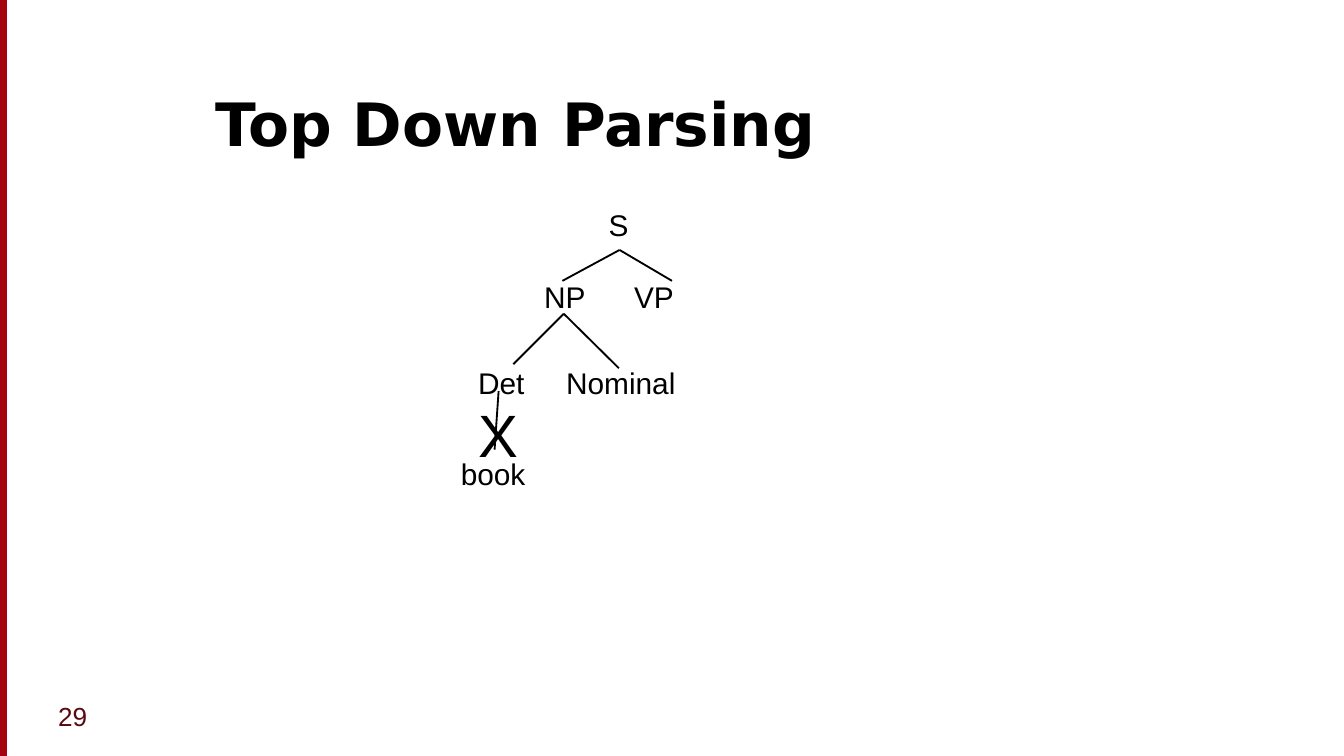
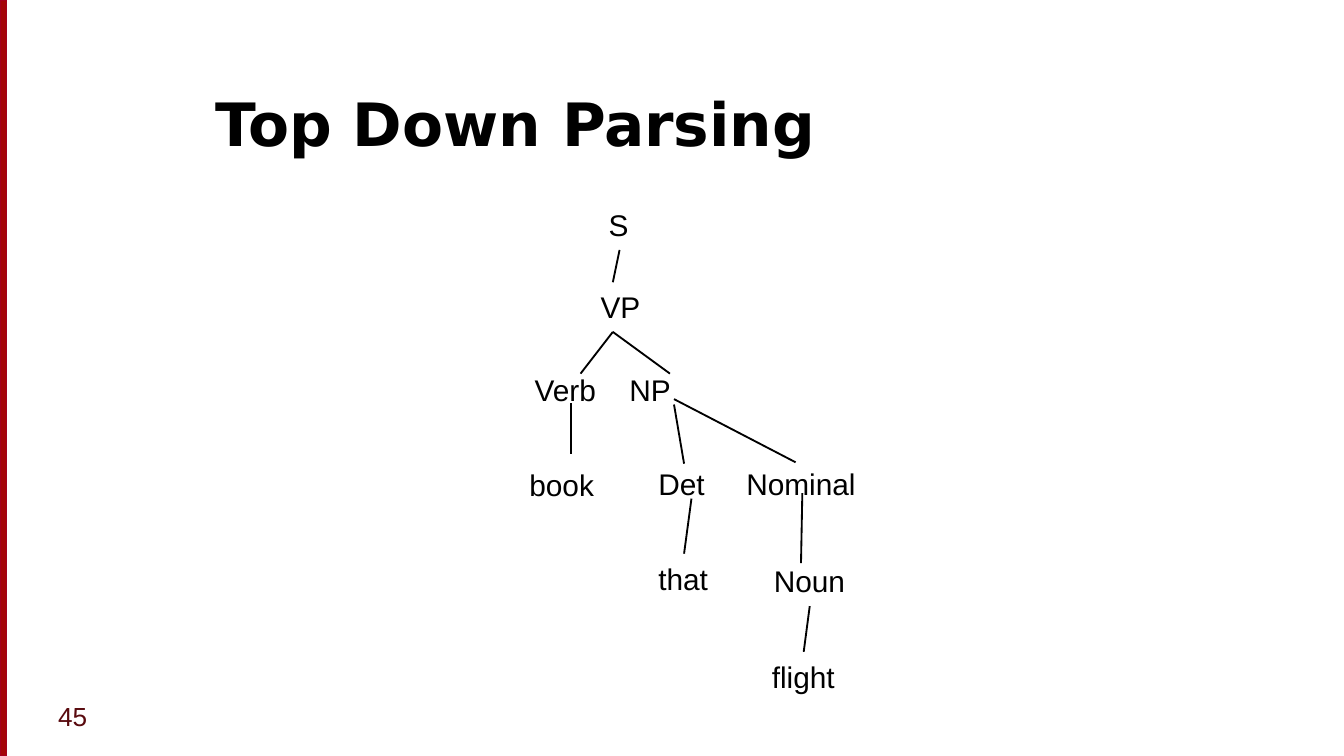
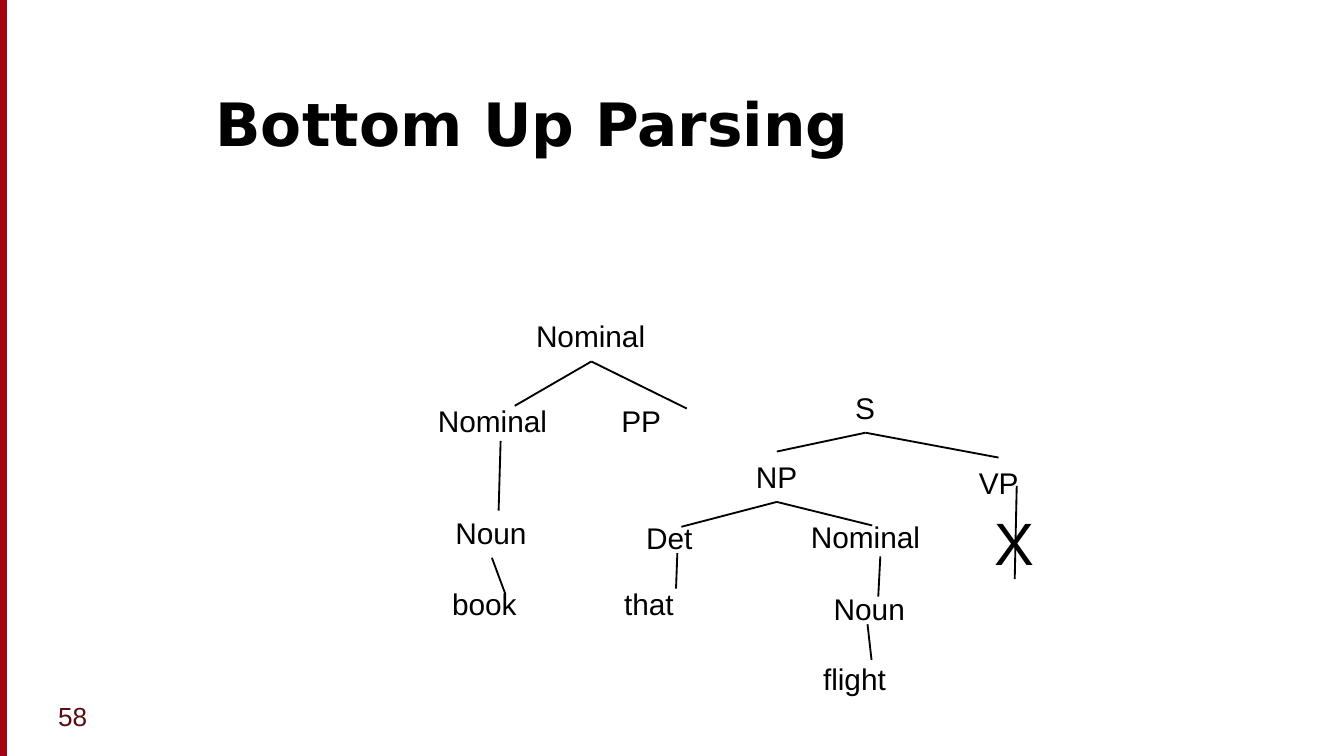
from dataclasses import dataclass

import lxml.etree
import pptx
import pptx.dml.color
import pptx.enum.shapes
import pptx.enum.text
import pptx.oxml.ns
import pptx.presentation
import pptx.slide
import pptx.util

EMU_PER_PX = 4572
SLIDE_WIDTH, SLIDE_HEIGHT = 2000, 1125
BAND_WIDTH = 10
LABEL_HEIGHT, CROSS_WIDTH, CROSS_HEIGHT = 74, 100, 128

BLACK = pptx.dml.color.RGBColor(0x00, 0x00, 0x00)
BAND_RED = pptx.dml.color.RGBColor(0xA4, 0x05, 0x08)
BAND_EDGE = pptx.dml.color.RGBColor(0xA4, 0x00, 0x1D)
NUMBER_RED = pptx.dml.color.RGBColor(0x59, 0x0A, 0x0E)

ANCHOR = pptx.enum.text.MSO_ANCHOR
Point = tuple[int, int]

WORD_WIDTHS = {
    "S": 70, "NP": 102, "VP": 100, "PP": 100, "Det": 110, "Nominal": 206,
    "Noun": 148, "Verb": 132, "book": 142, "that": 116, "flight": 136,
}


@dataclass(frozen=True)
class TextStyle:
    font: str
    size: int
    color: pptx.dml.color.RGBColor = BLACK
    bold: bool = False
    anchor: ANCHOR = ANCHOR.TOP
    wrap: bool = True


TITLE = TextStyle("DejaVu Sans", 32, bold=True, anchor=ANCHOR.BOTTOM)
NUMBER = TextStyle("Arial", 14, NUMBER_RED, anchor=ANCHOR.MIDDLE)
WORD = TextStyle("Arial", 16, wrap=False)
CROSS = TextStyle("Arial", 32, wrap=False)


@dataclass(frozen=True)
class Node:
    word: str
    left: int
    top: int


@dataclass(frozen=True)
class Branch:
    start: Point
    ends: tuple[Point, ...]


@dataclass(frozen=True)
class ParseSlide:
    title: str
    number: int
    nodes: tuple[Node, ...]
    branches: tuple[Branch, ...]
    crosses: tuple[Point, ...] = ()


SLIDES = (
    ParseSlide(
        "Top Down Parsing", 29,
        nodes=(
            Node("S", 886, 298),
            Node("NP", 790, 405), Node("VP", 924, 405),
            Node("Det", 692, 533), Node("Nominal", 823, 533),
            Node("book", 666, 669),
        ),
        branches=(
            Branch((922, 372), ((837, 418), (1000, 418))),
            Branch((839, 467), ((764, 542), (921, 548))),
            Branch((742, 582), ((736, 669),)),
        ),
        crosses=((692, 582),),
    ),
    ParseSlide(
        "Top Down Parsing", 45,
        nodes=(
            Node("S", 886, 298),
            Node("VP", 874, 420),
            Node("Verb", 776, 543), Node("NP", 917, 543),
            Node("book", 768, 685), Node("Det", 960, 683), Node("Nominal", 1091, 683),
            Node("that", 960, 825), Node("Noun", 1132, 828),
            Node("flight", 1129, 970),
        ),
        branches=(
            Branch((922, 372), ((912, 420),)),
            Branch((912, 494), ((864, 556), (997, 556))),
            Branch((850, 600), ((850, 676),)),
            Branch((1003, 602), ((1018, 690),)),
            Branch((1003, 594), ((1184, 688),)),
            Branch((1029, 742), ((1018, 824),)),
            Branch((1194, 734), ((1192, 838),)),
            Branch((1205, 902), ((1196, 970),)),
        ),
    ),
    ParseSlide(
        "Bottom Up Parsing", 58,
        nodes=(
            Node("Nominal", 778, 463),
            Node("Nominal", 632, 590), Node("PP", 905, 590),
            Node("Noun", 658, 756),
            Node("book", 653, 862), Node("that", 909, 862),
            Node("S", 1253, 570),
            Node("NP", 1105, 673), Node("VP", 1437, 681),
            Node("Det", 942, 764), Node("Nominal", 1187, 762),
            Node("Noun", 1221, 869),
            Node("flight", 1205, 973),
        ),
        branches=(
            Branch((880, 538), ((766, 604), (1022, 608))),
            Branch((745, 656), ((742, 760),)),
            Branch((732, 830), ((752, 884),)),
            Branch((1288, 644), ((1156, 672), (1486, 681))),
            Branch((1156, 747), ((1014, 784), (1298, 782))),
            Branch((1008, 823), ((1006, 876),)),
            Branch((1310, 828), ((1307, 888),)),
            Branch((1291, 929), ((1297, 982),)),
            Branch((1513, 723), ((1510, 862),)),
        ),
        crosses=((1460, 743),),
    ),
)


def px(length: int) -> pptx.util.Emu:
    return pptx.util.Emu(length * EMU_PER_PX)


def add_text(slide: pptx.slide.Slide, text: str, left: int, top: int,
             width: int, height: int, style: TextStyle) -> None:
    shape = slide.shapes.add_textbox(px(left), px(top), px(width), px(height))
    frame = shape.text_frame
    frame.word_wrap = style.wrap
    frame.vertical_anchor = style.anchor
    if not style.wrap:
        frame.auto_size = pptx.enum.text.MSO_AUTO_SIZE.SHAPE_TO_FIT_TEXT
    run = frame.paragraphs[0].add_run()
    run.text = text
    run.font.name = style.font
    run.font.size = pptx.util.Pt(style.size)
    run.font.bold = style.bold
    run.font.color.rgb = style.color


def add_band(slide: pptx.slide.Slide) -> None:
    band = slide.shapes.add_shape(
        pptx.enum.shapes.MSO_SHAPE.RECTANGLE,
        px(0), px(0), px(BAND_WIDTH), px(SLIDE_HEIGHT))
    band.shadow.inherit = False
    band.fill.solid()
    band.fill.fore_color.rgb = BAND_RED
    band.line.color.rgb = BAND_EDGE
    band.line.width = pptx.util.Pt(0.75)


def add_branch(slide: pptx.slide.Slide, branch: Branch) -> None:
    for end in branch.ends:
        connector = slide.shapes.add_connector(
            pptx.enum.shapes.MSO_CONNECTOR.STRAIGHT,
            *(px(length) for length in branch.start + end))
        connector.line.color.rgb = BLACK
        connector.line.width = pptx.util.Pt(1)
        lxml.etree.SubElement(
            connector._element.spPr, pptx.oxml.ns.qn("a:effectLst"))


def add_parse_slide(presentation: pptx.presentation.Presentation,
                    content: ParseSlide) -> None:
    slide = presentation.slides.add_slide(presentation.slide_layouts[6])
    add_band(slide)
    add_text(slide, content.title, 301, 84, 1634, 162, TITLE)
    for node in content.nodes:
        add_text(slide, node.word, node.left, node.top,
                 WORD_WIDTHS[node.word], LABEL_HEIGHT, WORD)
    for branch in content.branches:
        add_branch(slide, branch)
    for left, top in content.crosses:
        add_text(slide, "X", left, top, CROSS_WIDTH, CROSS_HEIGHT, CROSS)
    add_text(slide, str(content.number), 67, 1027, 434, 76, NUMBER)


def main() -> None:
    presentation = pptx.Presentation()
    presentation.slide_width = px(SLIDE_WIDTH)
    presentation.slide_height = px(SLIDE_HEIGHT)
    for content in SLIDES:
        add_parse_slide(presentation, content)
    presentation.save("out.pptx")


if __name__ == "__main__":
    main()
